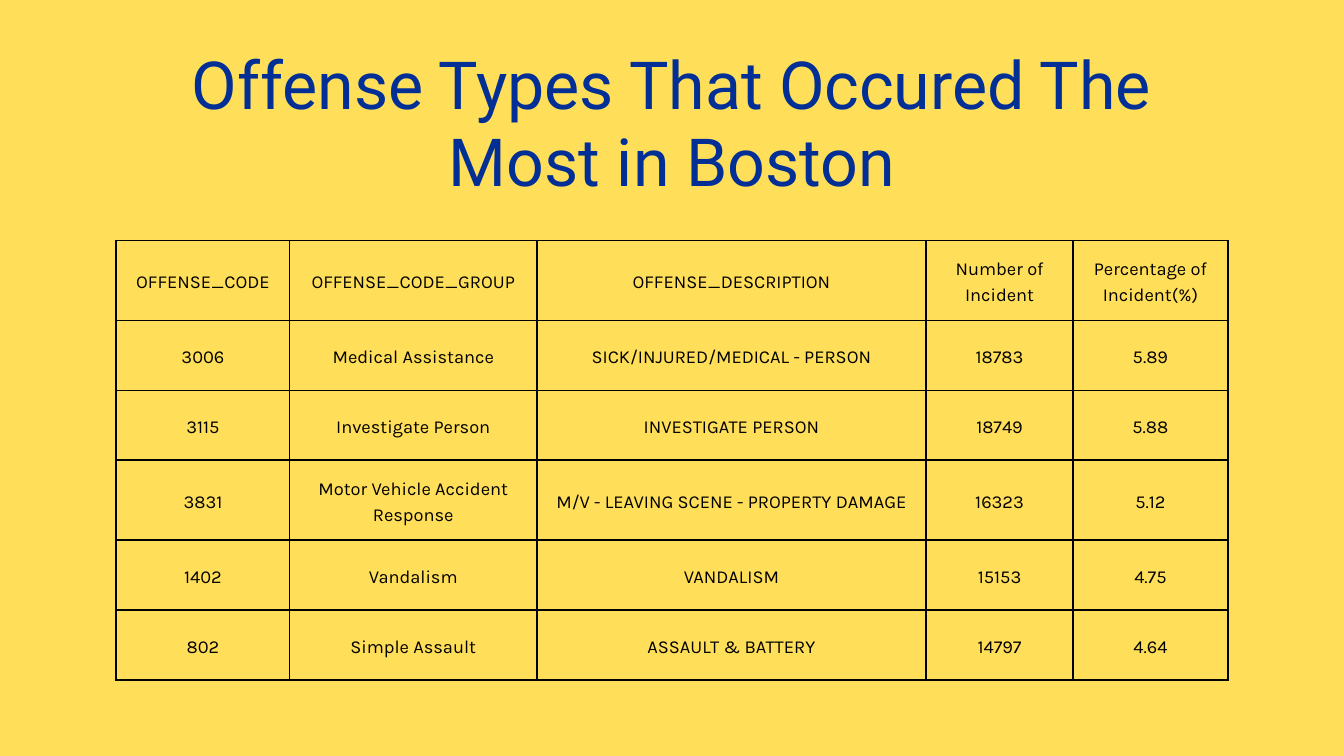
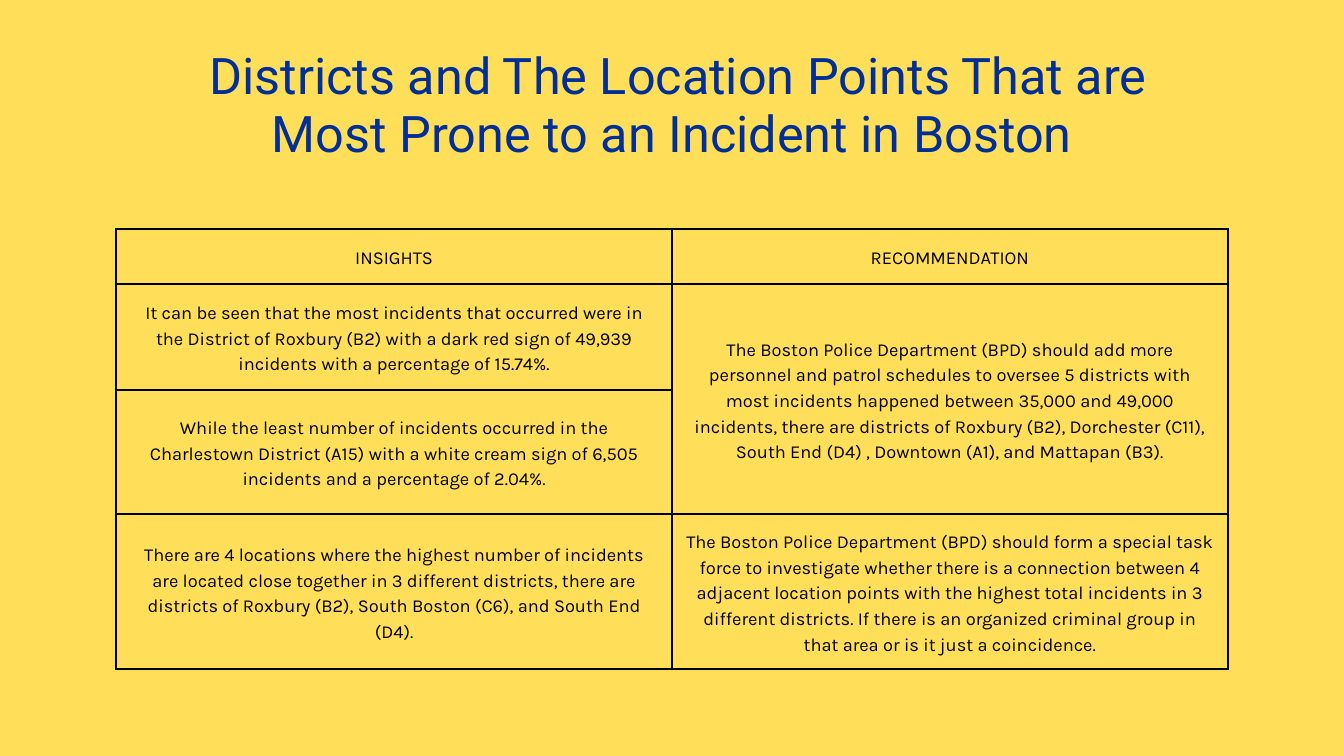
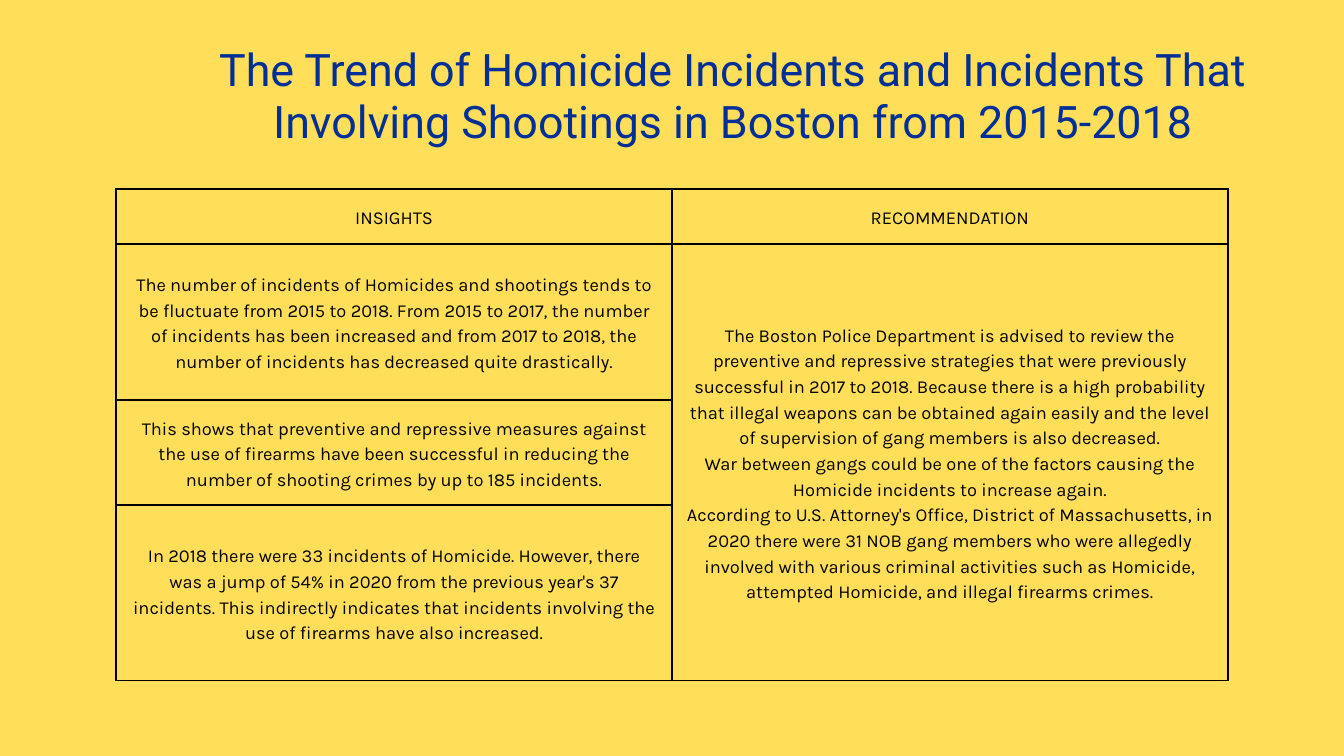
from lxml import etree
from pptx import Presentation
from pptx import util as u
from pptx.dml.color import RGBColor
from pptx.enum import text
from pptx.oxml import ns

COLORS = {"background": "FFDE59", "title": "012F96", "ink": "000000"}
TABLE_LEFT = 1.73
CELL_INSET = 0.2
BORDER_PT = 2.08
HALVES = [8.27, 8.27]
HEADINGS = ["INSIGHTS", "RECOMMENDATION"]

OFFENSES = [
    ["OFFENSE_CODE", "OFFENSE_CODE_GROUP", "OFFENSE_DESCRIPTION",
     "Number of Incident", "Percentage of Incident(%)"],
    ["3006", "Medical Assistance", "SICK/INJURED/MEDICAL - PERSON", "18783", "5.89"],
    ["3115", "Investigate Person", "INVESTIGATE PERSON", "18749", "5.88"],
    ["3831", "Motor Vehicle Accident Response",
     "M/V - LEAVING SCENE - PROPERTY DAMAGE", "16323", "5.12"],
    ["1402", "Vandalism", "VANDALISM", "15153", "4.75"],
    ["802", "Simple Assault", "ASSAULT & BATTERY", "14797", "4.64"],
]

# None continues the cell above
DISTRICTS = [
    HEADINGS,
    ["It can be seen that the most incidents that occurred were in the District of "
     "Roxbury (B2) with a dark red sign of 49,939 incidents with a percentage of 15.74%.",
     "The Boston Police Department (BPD) should add more personnel and patrol schedules "
     "to oversee 5 districts with most incidents happened between 35,000 and 49,000 "
     "incidents, there are districts of Roxbury (B2), Dorchester (C11), South End (D4) , "
     "Downtown (A1), and Mattapan (B3)."],
    ["While the least number of incidents occurred in the Charlestown District (A15) with "
     "a white cream sign of 6,505 incidents and a percentage of 2.04%.", None],
    ["There are 4 locations where the highest number of incidents are located close "
     "together in 3 different districts, there are districts of Roxbury (B2), South "
     "Boston (C6), and South End (D4).",
     "The Boston Police Department (BPD) should form a special task force to investigate "
     "whether there is a connection between 4 adjacent location points with the highest "
     "total incidents in 3 different districts. If there is an organized criminal group "
     "in that area or is it just a coincidence."],
]

HOMICIDES = [
    HEADINGS,
    ["The number of incidents of Homicides and shootings tends to be fluctuate from 2015 "
     "to 2018. From 2015 to 2017, the number of incidents has been increased and from 2017 "
     "to 2018, the number of incidents has decreased quite drastically.",
     "The Boston Police Department is advised to review the preventive and repressive "
     "strategies that were previously successful in 2017 to 2018. Because there is a high "
     "probability that illegal weapons can be obtained again easily and the level of "
     "supervision of gang members is also decreased.\n"
     "War between gangs could be one of the factors causing the Homicide incidents to "
     "increase again.\n"
     "According to U.S. Attorney's Office, District of Massachusetts, in 2020 there were "
     "31 NOB gang members who were allegedly involved with various criminal activities "
     "such as Homicide, attempted Homicide, and illegal firearms crimes."],
    ["This shows that preventive and repressive measures against the use of firearms have "
     "been successful in reducing the number of shooting crimes by up to 185 incidents.",
     None],
    ["In 2018 there were 33 incidents of Homicide. However, there was a jump of 54% in 2020 "
     "from the previous year's 37 incidents. This indirectly indicates that incidents "
     "involving the use of firearms have also increased.", None],
]


def set_all(obj, values):
    for name, value in values.items():
        setattr(obj, name, value)


def margins(inches):
    return {f"margin_{side}": u.Inches(inches) for side in ("left", "top", "right", "bottom")}


class Deck:
    """Holds the shared style and the current slide."""

    def __init__(self):
        self.prs = Presentation()
        set_all(self.prs, {"slide_width": u.Inches(20), "slide_height": u.Inches(11.25)})
        fill = self.prs.slide_master.background.fill
        fill.solid()
        fill.fore_color.rgb = RGBColor.from_string(COLORS["background"])
        self.slide = None

    def add_slide(self):
        self.slide = self.prs.slides.add_slide(self.prs.slide_layouts[5])

    def fill_text(self, tf, words, font, size, color, spacing):
        """Fill a text frame with centred paragraphs, one for each line of words."""
        tf.text = words
        for p in tf.paragraphs:
            set_all(p, {"alignment": text.PP_ALIGN.CENTER, "line_spacing": u.Pt(spacing),
                        "space_before": u.Pt(0)})
            for r in p.runs:
                set_all(r.font, {"name": font, "size": u.Pt(size), "bold": False})
                r.font.color.rgb = RGBColor.from_string(COLORS[color])

    def title(self, words, box, size, spacing):
        sp = self.slide.shapes.title
        set_all(sp, dict(zip(("left", "top", "width", "height"), map(u.Inches, box))))
        tf = sp.text_frame
        set_all(tf, {"word_wrap": True, "vertical_anchor": text.MSO_ANCHOR.TOP,
                     "auto_size": text.MSO_AUTO_SIZE.SHAPE_TO_FIT_TEXT, **margins(0)})
        self.fill_text(tf, words, "Roboto", size, "title", spacing)

    def border(self, cell):
        tcPr = cell._tc.get_or_add_tcPr()
        for side in "LRTB":
            ln = etree.SubElement(tcPr, ns.qn(f"a:ln{side}"), w=str(u.Pt(BORDER_PT)))
            fill = etree.SubElement(ln, ns.qn("a:solidFill"))
            etree.SubElement(fill, ns.qn("a:srgbClr"), val=COLORS["ink"])

    def table(self, rows, top, widths, heights):
        frame = self.slide.shapes.add_table(
            len(rows), len(widths), u.Inches(TABLE_LEFT), u.Inches(top),
            u.Inches(sum(widths)), u.Inches(sum(heights)))
        tbl = frame.table
        set_all(tbl, {"first_row": False, "horz_banding": False})
        for column, width in zip(tbl.columns, widths):
            column.width = u.Inches(width)
        for row, height in zip(tbl.rows, heights):
            row.height = u.Inches(height)
        for i, row in enumerate(rows):
            for j, words in enumerate(row):
                cell = tbl.cell(i, j)
                set_all(cell, {"vertical_anchor": text.MSO_ANCHOR.MIDDLE, **margins(CELL_INSET)})
                self.border(cell)
                cell.fill.background()
                if words is not None:
                    self.fill_text(cell.text_frame, words, "Karla", 19.6, "ink", 27.5)
        self.merge_down(tbl, rows)

    def merge_down(self, tbl, rows):
        """Join each cell with the None cells below it."""
        for j, column in enumerate(zip(*rows)):
            starts = [i for i, words in enumerate(column) if words is not None]
            for start, end in zip(starts, starts[1:] + [len(column)]):
                if end - start > 1:
                    tbl.cell(start, j).merge(tbl.cell(end - 1, j))


def main():
    deck = Deck()

    deck.add_slide()
    deck.table(OFFENSES, 3.58, [2.58, 3.68, 5.79, 2.19, 2.3],
               [1.19, 1.04, 1.04, 1.19, 1.04, 1.04])
    deck.title("Offense Types That Occured The Most in Boston",
               (2.69, 0.68, 14.62, 2.29), 71, 82.4)

    deck.add_slide()
    deck.table(DISTRICTS, 3.41, HALVES, [0.82, 1.57, 1.85, 2.31])
    deck.title(" Districts and The Location Points That are Most Prone to an Incident in Boston",
               (2.69, 0.68, 14.62, 1.74), 54, 62.6)

    deck.add_slide()
    deck.table(HOMICIDES, 2.81, HALVES, [0.82, 2.32, 1.57, 2.61])
    deck.title("The Trend of Homicide Incidents and Incidents That Involving Shootings "
               "in Boston from 2015-2018", (2.47, 0.64, 16.87, 1.54), 48, 55.7)

    deck.prs.save("out.pptx")


if __name__ == "__main__":
    main()
